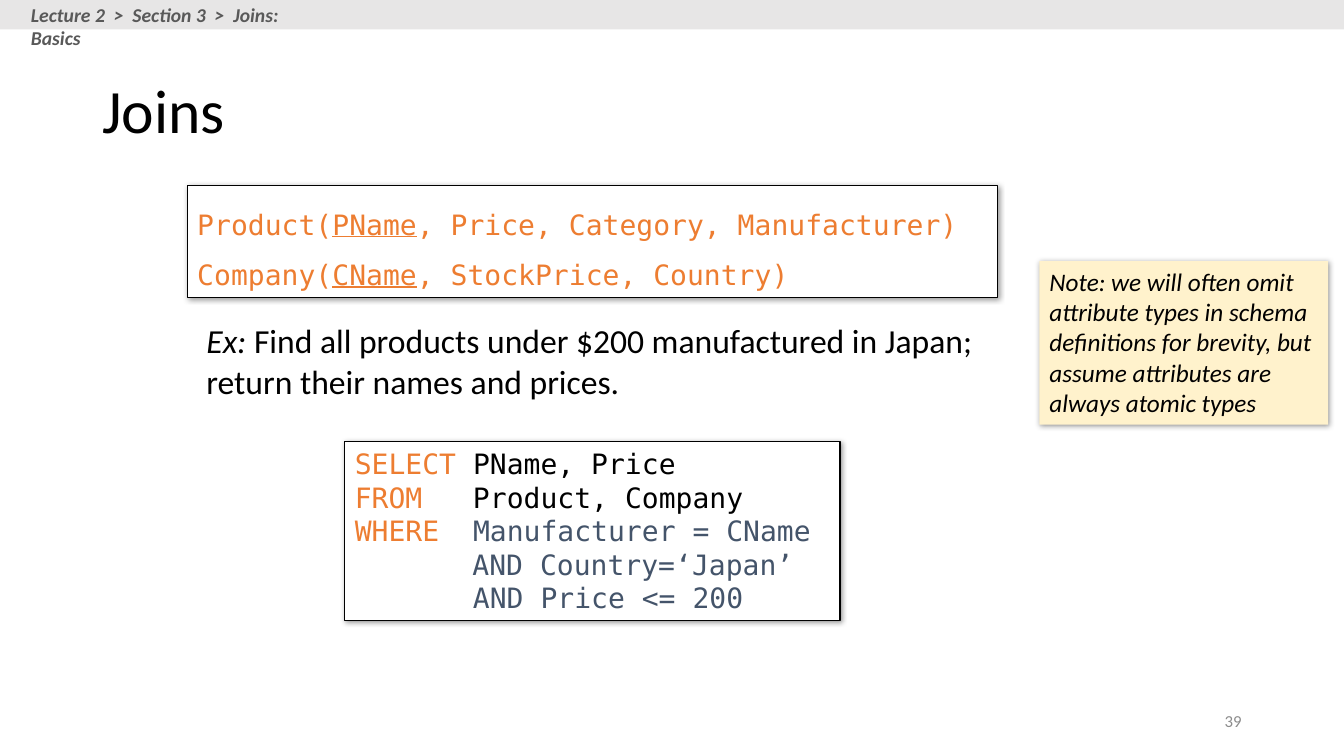
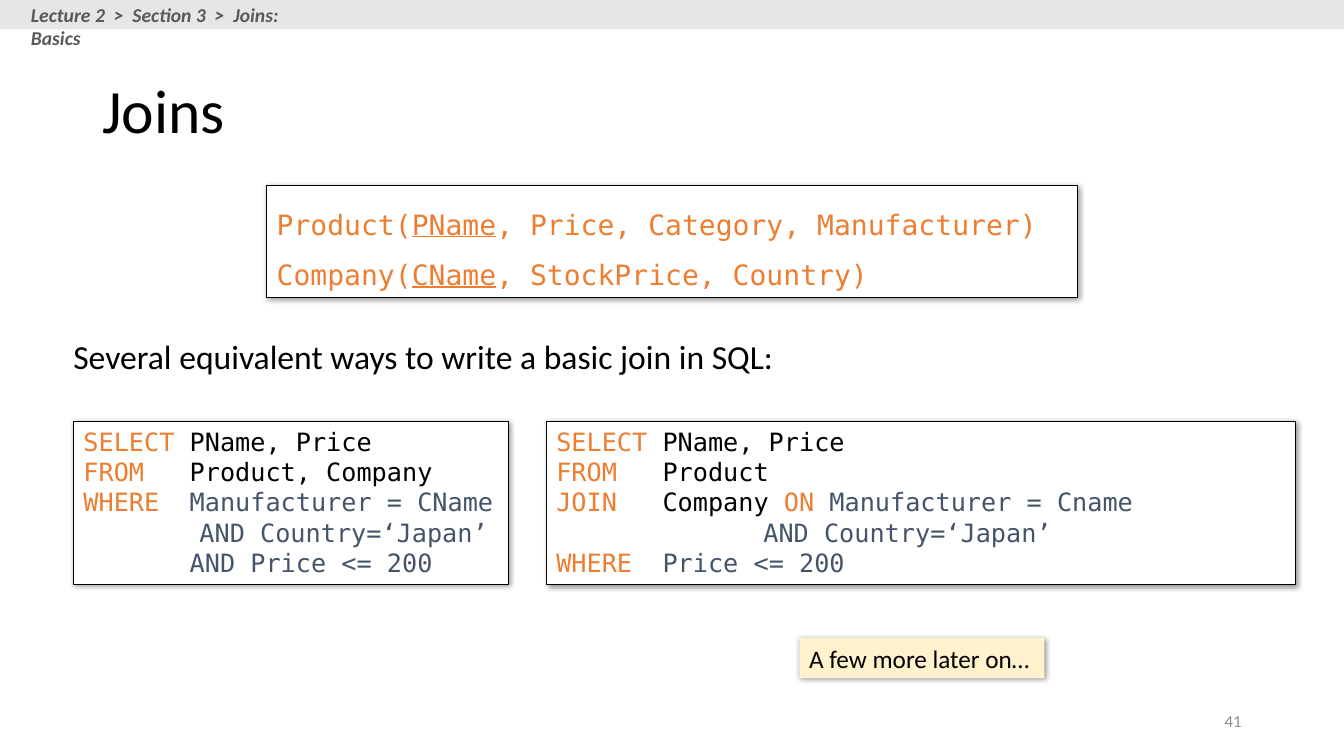
"""Build two lecture slides that introduce SQL joins."""
from dataclasses import dataclass

from lxml import etree
from pptx import Presentation
from pptx import util as u
from pptx.dml.color import RGBColor
from pptx.enum import shapes, text
from pptx.oxml.ns import qn


@dataclass(frozen=True)
class Theme:
    """Colours, fonts and type sizes of the deck."""
    ink: str = "000000"
    paper: str = "FFFFFF"
    band: str = "E7E6E6"
    crumb: str = "595959"
    number: str = "8C8C8C"
    note: str = "FFF2CC"
    keyword: str = "ED7D31"
    condition: str = "44546A"
    sans: str = "Calibri"
    mono: str = "DejaVu Sans Mono"
    title_size: int = 44
    body_size: int = 24
    code_size: int = 20
    small_size: int = 18
    crumb_size: int = 14
    number_size: int = 12


THEME = Theme()
COLUMNS, ROWS = 32, 18
SCHEMA_WIDTH = 19.3


class LectureDeck:
    """Holds the theme, the presentation and the current slide."""

    def __init__(self, theme):
        """Start an empty widescreen deck."""
        self.theme = theme
        self.deck = Presentation()
        self.deck.slide_width = u.Inches(13.33)
        self.deck.slide_height = u.Inches(7.5)
        self.page = None

    def place(self, left, top, width, height):
        """Turn grid columns and rows into slide lengths."""
        column = self.deck.slide_width / COLUMNS
        row = self.deck.slide_height / ROWS
        return [round(n * unit) for n, unit in
                zip((left, top, width, height), (column, row, column, row))]

    def fill_text(self, box, lines, size, font=None, color=None, spacing=None,
                  align=text.PP_ALIGN.LEFT, anchor=text.MSO_ANCHOR.TOP):
        """Fill a box with lines, each a list of (words, run style) spans."""
        frame = box.text_frame
        frame.word_wrap = True
        frame.vertical_anchor = anchor
        for index, line in enumerate(lines):
            para = frame.paragraphs[0] if index == 0 else frame.add_paragraph()
            para.alignment = align
            if spacing:
                para.line_spacing = spacing
            if line[0][0].startswith("\t"):
                tabs = etree.SubElement(para._p.get_or_add_pPr(), qn("a:tabLst"))
                etree.SubElement(tabs, qn("a:tab"), pos=str(u.Inches(1)), algn="l")
            for words, style in line:
                span = para.add_run()
                span.text = words
                span.font.name = font or self.theme.sans
                span.font.size = u.Pt(size)
                span.font.color.rgb = RGBColor.from_string(
                    style.get("color", color or self.theme.ink))
                span.font.bold = style.get("bold")
                span.font.italic = style.get("italic")
                span.font.underline = style.get("underline")

    def label(self, area, lines, size, **options):
        """Add a plain text box."""
        box = self.page.shapes.add_textbox(*self.place(*area))
        self.fill_text(box, lines, size, **options)

    def panel(self, area, fill, outlined=False, raised=True):
        """Add a filled rectangle, with an outline or a shadow if wanted."""
        box = self.page.shapes.add_shape(
            shapes.MSO_SHAPE.RECTANGLE, *self.place(*area))
        box.fill.solid()
        box.fill.fore_color.rgb = RGBColor.from_string(fill)
        if outlined:
            box.line.color.rgb = RGBColor.from_string(self.theme.ink)
            box.line.width = u.Pt(0.75)
        else:
            box.line.fill.background()
        box.shadow.inherit = False
        if raised:
            effects = box._element.spPr.find(qn("a:effectLst"))
            shadow = etree.SubElement(
                effects, qn("a:outerShdw"), blurRad=str(u.Pt(4)),
                dist=str(u.Pt(1)), dir="2700000", algn="tl", rotWithShape="0")
            color = etree.SubElement(shadow, qn("a:srgbClr"), val=self.theme.ink)
            etree.SubElement(color, qn("a:alpha"), val="40000")
        return box

    def new_page(self, title, number):
        """Add a slide with its band, breadcrumb, title and number."""
        theme = self.theme
        self.page = self.deck.slides.add_slide(self.deck.slide_layouts[6])
        self.panel((0, 0, COLUMNS, 0.7), theme.band, raised=False)
        crumb = "Lecture 2  >  Section 3  >  Joins: Basics"
        self.label((0.5, -0.05, 7.54, 0.82),
                   [[(crumb, {"bold": True, "italic": True})]],
                   theme.crumb_size, color=theme.crumb)
        self.label((2.2, 0.96, 27.6, 3.48), [[(title, {})]], theme.title_size,
                   spacing=0.9, anchor=text.MSO_ANCHOR.MIDDLE)
        self.label((22.6, 16.68, 7.2, 0.96), [[(str(number), {})]],
                   theme.number_size, color=theme.number,
                   align=text.PP_ALIGN.RIGHT, anchor=text.MSO_ANCHOR.MIDDLE)

    def schema(self, left):
        """Add the two table definitions with their keys underlined."""
        tables = (("Product(", "PName", ", Price, Category, Manufacturer)"),
                  ("Company(", "CName", ", StockPrice, Country)"))
        lines = [[(name, {}), (key, {"underline": True}), (rest, {})]
                 for name, key, rest in tables]
        box = self.panel((left, 4.42, SCHEMA_WIDTH, 2.66), self.theme.paper, True)
        self.fill_text(box, lines, self.theme.code_size, font=self.theme.mono,
                       color=self.theme.keyword, spacing=1.5)

    def code(self, area, lines, size):
        """Add an outlined box of coloured SQL."""
        box = self.panel(area, self.theme.paper, True)
        self.fill_text(box, lines, size, font=self.theme.mono)

    def note(self, area, words, italic=False):
        """Add a yellow remark."""
        box = self.panel(area, self.theme.note)
        self.fill_text(box, [[(words, {"italic": italic})]], self.theme.small_size)


def main():
    """Build and save the deck."""
    keyword, condition = {"color": THEME.keyword}, {"color": THEME.condition}
    select = [("SELECT ", keyword), ("PName, Price", {})]
    where_join = [
        select,
        [("FROM", keyword), ("   Product, Company", {})],
        [("WHERE  ", keyword), ("Manufacturer = CName", condition)],
        [("\t AND Country=‘Japan’", condition)],
        [("       AND Price <= 200", condition)],
    ]
    explicit_join = [
        select,
        [("FROM", keyword), ("   Product", {})],
        [("JOIN   ", keyword), ("Company ", {}), ("ON ", keyword),
         ("Manufacturer = Cname", condition)],
        [("\t       AND Country=‘Japan’", condition)],
        [("WHERE", keyword), ("  Price <= 200", condition)],
    ]

    lecture = LectureDeck(THEME)
    lecture.new_page("Joins", 39)
    lecture.label((4.68, 7.51, 18.87, 2.35),
                  [[("Ex: ", {"italic": True}),
                    ("Find all products under $200 manufactured in Japan; "
                     "return their names and prices.", {})]], THEME.body_size)
    lecture.code((8.21, 10.51, 11.79, 4.27), where_join, THEME.code_size)
    lecture.schema(4.46)
    lecture.note((24.75, 6.22, 6.87, 3.89),
                 "Note: we will often omit attribute types in schema definitions "
                 "for brevity, but assume attributes are always atomic types", True)

    lecture.new_page("Joins", 41)
    lecture.label((1.51, 7.87, 18.87, 1.27),
                  [[("Several equivalent ways to write a basic join in SQL:", {})]],
                  THEME.body_size)
    for left, width, lines in ((1.75, 10.35, where_join),
                               (13.01, 17.84, explicit_join)):
        lecture.code((left, 10.03, width, 3.89), lines, THEME.small_size)
    lecture.note((19.03, 15.19, 5.84, 0.96), "A few more later on…")
    lecture.schema((COLUMNS - SCHEMA_WIDTH) / 2)
    lecture.deck.save("out.pptx")


if __name__ == "__main__":
    main()
